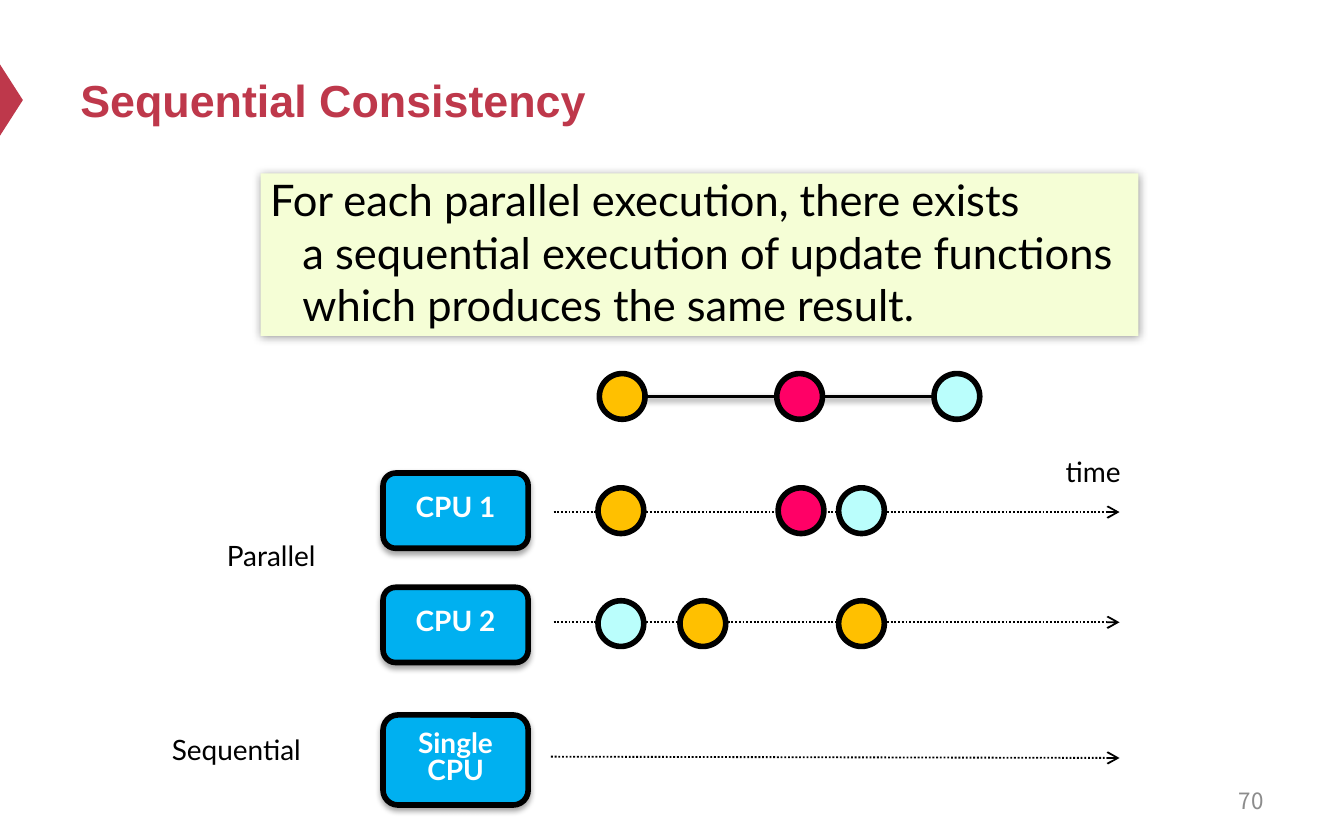
import dataclasses

import lxml.etree
import pptx
import pptx.dml.color
import pptx.enum.dml
import pptx.enum.shapes
import pptx.enum.text
import pptx.oxml.ns
import pptx.util

Inches = pptx.util.Inches
Pt = pptx.util.Pt
Shape = pptx.enum.shapes.MSO_SHAPE
Align = pptx.enum.text.PP_ALIGN
Anchor = pptx.enum.text.MSO_ANCHOR
qn = pptx.oxml.ns.qn


@dataclasses.dataclass(frozen=True)
class Theme:
    accent: str = "BE384B"
    ink: str = "000000"
    white: str = "FFFFFF"
    muted: str = "8C8C8C"
    note: str = "F5FED6"
    cpu: str = "00B0F0"
    amber: str = "FFC000"
    pink: str = "FF0066"
    aqua: str = "BAFEFC"
    heading: str = "Arial"
    body: str = "Lato"
    number: str = "Noto Sans CJK SC"
    title_size: float = 24
    statement_size: float = 23.3
    label_size: float = 15
    number_size: float = 12


theme = Theme()
rgb = pptx.dml.color.RGBColor.from_string


def write(shape, text, *, size=theme.label_size, font=theme.body, color=theme.ink, bold=False,
          align=Align.LEFT, anchor=Anchor.TOP, wrap=False, insets=(0.1, 0.05, 0.1, 0.05),
          spacing=None, hanging=0):
    frame = shape.text_frame
    frame.word_wrap = wrap
    frame.vertical_anchor = anchor
    frame.margin_left, frame.margin_top, frame.margin_right, frame.margin_bottom = map(Inches, insets)
    paragraph = frame.paragraphs[0]
    paragraph.text = text
    paragraph.alignment = align
    paragraph.line_spacing = spacing
    if hanging:
        properties = paragraph._p.get_or_add_pPr()
        properties.set("marL", str(Inches(hanging)))
        properties.set("indent", str(-Inches(hanging)))
    for run in paragraph.runs:
        run.font.size = Pt(size)
        run.font.name = font
        run.font.bold = bold
        run.font.color.rgb = rgb(color)


def set_shadow(shape, blur=0, distance=0, opacity=0):
    properties = shape._element.spPr
    for old in properties.findall(qn("a:effectLst")):
        properties.remove(old)
    effects = lxml.etree.SubElement(properties, qn("a:effectLst"))
    if opacity:
        shadow = lxml.etree.SubElement(
            effects, qn("a:outerShdw"), blurRad=str(Pt(blur)), dist=str(Pt(distance)),
            dir="5400000" if distance else "0", algn="ctr", rotWithShape="0")
        tint = lxml.etree.SubElement(shadow, qn("a:srgbClr"), val=theme.ink)
        lxml.etree.SubElement(tint, qn("a:alpha"), val=str(opacity * 1000))


deck = pptx.Presentation()
deck.slide_width = Inches(10)
deck.slide_height = Inches(6.25)
slide = deck.slides.add_slide(deck.slide_layouts[6])
shapes = slide.shapes

marker = shapes.add_shape(Shape.ISOSCELES_TRIANGLE, Inches(-0.18), Inches(0.66), Inches(0.53), Inches(0.17))
marker.rotation = 90
marker.fill.solid()
marker.fill.fore_color.rgb = rgb(theme.accent)
marker.line.fill.background()
marker.shadow.inherit = False

title = shapes.add_textbox(Inches(0.5), Inches(0.25), Inches(9), Inches(0.98))
write(title, "Sequential Consistency", size=theme.title_size, font=theme.heading,
      color=theme.accent, bold=True, anchor=Anchor.MIDDLE, wrap=True)

page_number = shapes.add_textbox(Inches(7.17), Inches(5.79), Inches(2.33), Inches(0.33))
write(page_number, "70", size=theme.number_size, font=theme.number, color=theme.muted,
      align=Align.RIGHT, anchor=Anchor.MIDDLE, wrap=True)

statement = shapes.add_shape(Shape.RECTANGLE, Inches(1.94), Inches(1.29), Inches(6.53), Inches(1.21))
statement.fill.solid()
statement.fill.fore_color.rgb = rgb(theme.note)
statement.line.fill.background()
set_shadow(statement, blur=5, opacity=40)
write(statement, "For each parallel execution, there exists \va sequential execution of update functions "
      "which produces the same result.", size=theme.statement_size, wrap=True,
      insets=(0.07, 0, 0.07, 0.03), hanging=0.24)

for start, start_y, end_y in [(4.1, 5.63, 5.64), (4.12, 4.63, 4.63), (4.12, 3.81, 3.81)]:
    timeline = shapes.add_connector(pptx.enum.shapes.MSO_CONNECTOR.STRAIGHT, Inches(start),
                                    Inches(start_y), Inches(8.33), Inches(end_y))
    timeline.line.color.rgb = rgb(theme.ink)
    timeline.line.width = Pt(1)
    timeline.line.dash_style = pptx.enum.dml.MSO_LINE.ROUND_DOT
    lxml.etree.SubElement(timeline.line._get_or_add_ln(), qn("a:tailEnd"), type="arrow")
    set_shadow(timeline)

for name, top, height in [("CPU 1", 3.52, 0.56), ("CPU 2", 4.37, 0.56), ("Single\vCPU", 5.32, 0.67)]:
    cpu = shapes.add_shape(Shape.ROUNDED_RECTANGLE, Inches(2.85), Inches(top), Inches(1.08), Inches(height))
    cpu.fill.solid()
    cpu.fill.fore_color.rgb = rgb(theme.cpu)
    cpu.line.color.rgb = rgb(theme.ink)
    cpu.line.width = Pt(3)
    set_shadow(cpu, blur=3.1, distance=1.8, opacity=35)
    write(cpu, name, color=theme.white, bold=True, align=Align.CENTER, anchor=Anchor.MIDDLE,
          insets=(0, 0.03, 0, 0.05), spacing=0.8)

for caption, left, top, width in [("Parallel", 1.59, 3.96, 0.87), ("Sequential", 1.18, 5.4, 1.17),
                                  ("time", 7.83, 3.33, 0.61)]:
    write(shapes.add_textbox(Inches(left), Inches(top), Inches(width), Inches(0.35)), caption)

for start, end in [(4.8, 5.78), (6.95, 6.12)]:
    dependency = shapes.add_connector(pptx.enum.shapes.MSO_CONNECTOR.STRAIGHT, Inches(start),
                                      Inches(2.95), Inches(end), Inches(2.95))
    dependency.line.color.rgb = rgb(theme.ink)
    dependency.line.width = Pt(2)
    set_shadow(dependency, blur=3.1, distance=1.6, opacity=38)

update_rows = [
    (2.78, [(4.46, theme.amber), (5.78, theme.pink), (6.95, theme.aqua)]),
    (3.63, [(4.45, theme.amber), (5.79, theme.pink), (6.24, theme.aqua)]),
    (4.47, [(4.45, theme.aqua), (5.06, theme.amber), (6.24, theme.amber)]),
]
for top, updates in update_rows:
    for left, color in updates:
        update = shapes.add_shape(Shape.OVAL, Inches(left), Inches(top), Inches(0.34), Inches(0.34))
        update.fill.solid()
        update.fill.fore_color.rgb = rgb(color)
        update.line.color.rgb = rgb(theme.ink)
        update.line.width = Pt(3)
        update.shadow.inherit = False

deck.save("out.pptx")
